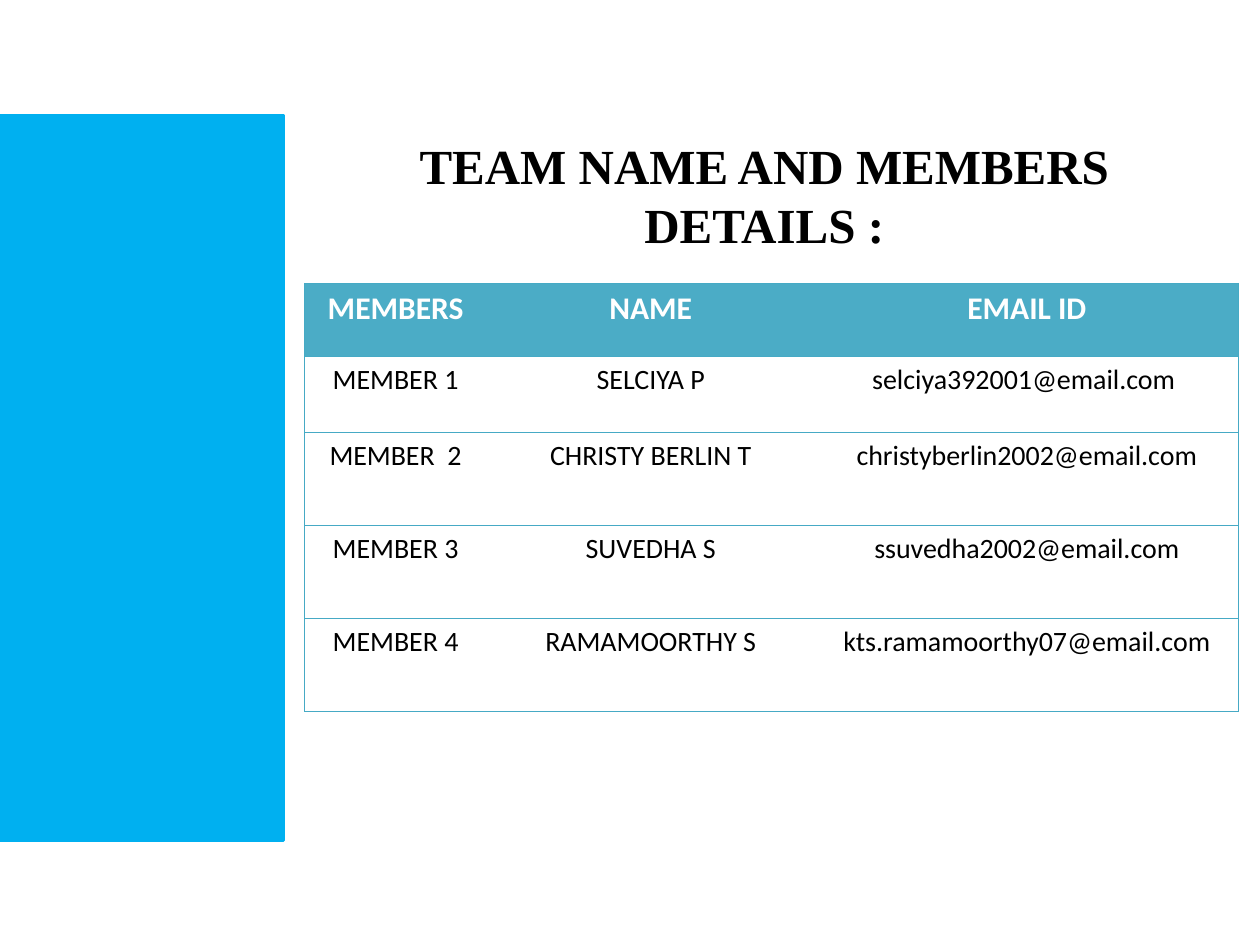
import pptx
import pptx.util
import pptx.dml.color
import pptx.enum.shapes
import pptx.enum.text
import pptx.oxml
import pptx.oxml.ns

Inches = pptx.util.Inches
Pt = pptx.util.Pt
TEAL, EDGE, BLUE = "4BACC6", "46AAC5", "00B0F0"
WHITE, BLACK = "FFFFFF", "000000"


def color(code):
    return pptx.dml.color.RGBColor.from_string(code)


class Deck:
    """Holds the text styles and the current slide."""
    title_font = dict(name="Times New Roman", size=Pt(28), bold=True)
    head_font = dict(name="Calibri", size=Pt(18), bold=True)
    cell_font = dict(name="Calibri", size=Pt(16), bold=False)
    insets = dict(margin_left=Inches(0.07), margin_right=Inches(0.07),
                  margin_top=Inches(0.05), margin_bottom=Inches(0.05))

    def __init__(self, show):
        self.slide = show.slides.add_slide(show.slide_layouts[5])

    def apply(self, item, values):
        for key, value in values.items():
            setattr(item, key, value)

    def label(self, frame, text, font, ink):
        para = frame.paragraphs[0]
        para.alignment = pptx.enum.text.PP_ALIGN.CENTER
        run = para.add_run()
        run.text = text
        self.apply(run.font, font)
        run.font.color.rgb = color(ink)

    def title(self, text, left, top, width, height):
        shape = self.slide.shapes.title
        self.apply(shape, dict(left=Inches(left), top=Inches(top),
                               width=Inches(width), height=Inches(height)))
        frame = shape.text_frame
        self.apply(frame, dict(
            word_wrap=True, auto_size=pptx.enum.text.MSO_AUTO_SIZE.NONE,
            vertical_anchor=pptx.enum.text.MSO_ANCHOR.MIDDLE))
        self.label(frame, text, self.title_font, BLACK)

    def panel(self, code, left, top, width, height):
        shape = self.slide.shapes.add_shape(
            pptx.enum.shapes.MSO_SHAPE.RECTANGLE, Inches(left), Inches(top),
            Inches(width), Inches(height))
        shape.shadow.inherit = False
        shape.fill.solid()
        shape.fill.fore_color.rgb = color(code)
        shape.line.color.rgb = color(code)
        shape.line.width = Pt(2)

    def border(self, cell, sides):
        props = cell._tc.get_or_add_tcPr()
        for side in "LRTB":
            fill = "<a:noFill/>"
            if side in sides:
                fill = f'<a:solidFill><a:srgbClr val="{EDGE}"/></a:solidFill>'
            props.append(pptx.oxml.parse_xml(
                f'<a:ln{side} {pptx.oxml.ns.nsdecls("a")} w="{Pt(0.75)}">'
                f'{fill}</a:ln{side}>'))

    def table(self, data, left, top, widths, heights):
        grid = self.slide.shapes.add_table(
            len(heights), len(widths), Inches(left), Inches(top),
            Inches(sum(widths)), Inches(sum(heights))).table
        for col, width in zip(grid.columns, widths):
            col.width = Inches(width)
        for row, height in zip(grid.rows, heights):
            row.height = Inches(height)
        last = len(widths) - 1
        for r, line in enumerate(data):
            for c, text in enumerate(line):
                cell = grid.cell(r, c)
                self.apply(cell, self.insets)
                # Rules between rows, outer edges only at the sides
                sides = "TB" + "L" * (c == 0) + "R" * (c == last)
                self.border(cell, sides)
                cell.fill.solid()
                cell.fill.fore_color.rgb = color(WHITE if r else TEAL)
                self.label(cell.text_frame, text,
                           self.cell_font if r else self.head_font,
                           BLACK if r else WHITE)


show = pptx.Presentation()
show.slide_width, show.slide_height = Inches(10), Inches(7.5)
deck = Deck(show)

# Heading
deck.title("TEAM NAME AND MEMBERS DETAILS :", 2.96, 0.96, 6.21, 1.17)

# Member list
deck.table([
    ("MEMBERS", "NAME", "EMAIL ID"),
    ("MEMBER 1", "SELCIYA P", "selciya392001@email.com "),
    ("MEMBER  2", "CHRISTY BERLIN T", "christyberlin2002@email.com"),
    ("MEMBER 3", "SUVEDHA S", "ssuvedha2002@email.com"),
    ("MEMBER 4", "RAMAMOORTHY S", "kts.ramamoorthy07@email.com"),
], 2.42, 2.25, [1.44, 2.61, 3.36], [0.58, 0.6, 0.74, 0.74, 0.74])

# Side panel
deck.panel(BLUE, 0, 0.92, 2.25, 5.75)

show.save("out.pptx")
